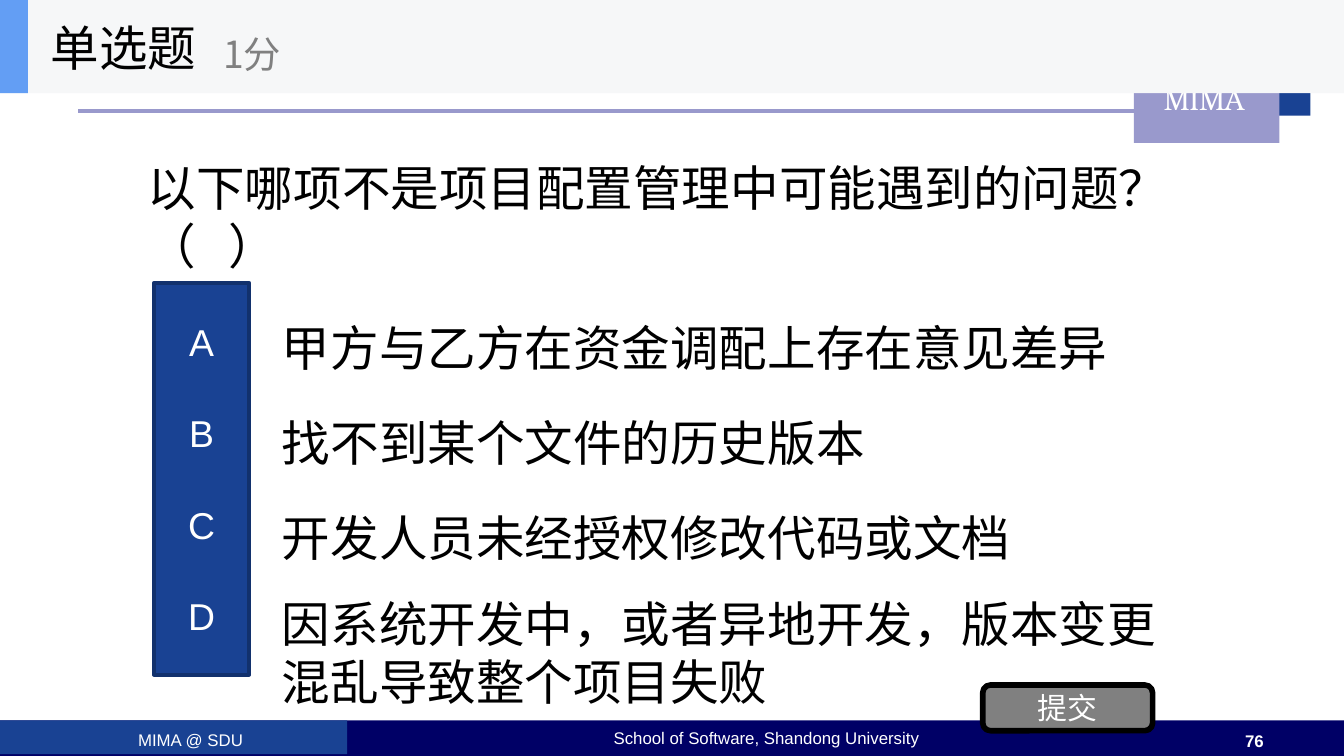
"""Build a single-choice quiz slide on project configuration management."""
from lxml import etree
from pptx import Presentation
from pptx.dml.color import RGBColor
from pptx.enum import shapes, text
from pptx.oxml import ns
from pptx.util import Pt

QUESTION = "以下哪项不是项目配置管理中可能遇到的问题？（   ）"
OPTIONS = [
    ("A", "甲方与乙方在资金调配上存在意见差异", 164),
    ("B", "找不到某个文件的历史版本", 215),
    ("C", "开发人员未经授权修改代码或文档", 266),
    ("D", "因系统开发中，或者异地开发，版本变更混乱导致整个项目失败", 327.5),
]
THEME = {
    "cjk": "Noto Sans CJK SC", "latin": "Arial", "serif": "TeX Gyre Bonum",
    "black": "000000", "white": "FFFFFF", "grey": "808080",
    "navy": "000066", "blue": "194293", "blue_edge": "12316D",
    "lilac": "9999CC", "header": "F6F7F8", "accent": "639EF4",
    "main": 26, "letter": 20, "button": 16, "badge": 15, "footer": 9,
}
MASTER_BLOCKS = [
    ((0, 386, 720, 19), "navy"),
    ((636, 14, 66, 48), "blue"),
    ((607.5, 22.5, 78, 54), "lilac"),
    ((0, 386, 186, 18), "blue"),
]
MASTER_LABELS = [
    ("MIMA", (600, 40.5, 90, 25), "badge", "serif", False),
    ("MIMA @ SDU", (18, 387.5, 168, 10), "footer", "latin", False),
    ("School of Software, Shandong University", (206.5, 386.5, 408, 15), "footer", "latin", False),
    ("76", (655, 388, 34, 11), "footer", "latin", True),
]
HEADER_BLOCKS = [((0, 0, 720, 50), "header"), ((0, 0, 15, 50), "accent")]
HEADER_LABELS = [
    ("单选题", (20, 0, 150, 50), "main", "black"),
    ("1分", (112.5, 8.5, 180, 40), "letter", "grey"),
]
MIDDLE = text.MSO_ANCHOR.MIDDLE
CENTER = text.PP_ALIGN.CENTER
LEFT = text.PP_ALIGN.LEFT


def color(key):
    return RGBColor.from_string(THEME[key])


def points(box):
    return [Pt(length) for length in box]


def write(frame, lines, size, ink, face="cjk", align=LEFT, anchor=MIDDLE,
          wrap=True, bold=False, gap=0, leading=None):
    frame.auto_size = text.MSO_AUTO_SIZE.NONE
    frame.word_wrap = wrap
    frame.vertical_anchor = anchor
    for index, line in enumerate(lines):
        paragraph = frame.paragraphs[0] if index == 0 else frame.add_paragraph()
        paragraph.alignment = align
        if index and gap:
            paragraph.space_before = Pt(gap)
        if leading:
            paragraph.line_spacing = Pt(leading)
        run = paragraph.add_run()
        run.text = line
        run.font.size = Pt(THEME[size])
        run.font.name = THEME[face]
        run.font.bold = bold
        run.font.color.rgb = color(ink)
        east_asian = etree.SubElement(run.font._element, ns.qn("a:ea"))
        east_asian.set("typeface", THEME[face])


def write_main(frame, line):
    frame.margin_top = Pt(9.6)
    write(frame, [line], "main", "black", leading=31)


def add_block(slide, box, fill, edge=None, weight=0, kind=shapes.MSO_SHAPE.RECTANGLE):
    block = slide.shapes.add_shape(kind, *points(box))
    block.shadow.inherit = False
    block.fill.solid()
    block.fill.fore_color.rgb = color(fill)
    if edge:
        block.line.color.rgb = color(edge)
        block.line.width = Pt(weight)
    else:
        block.line.fill.background()
    return block


def add_label(slide, box):
    return slide.shapes.add_textbox(*points(box)).text_frame


def add_rule(slide):
    rule = slide.shapes.add_connector(
        shapes.MSO_CONNECTOR.STRAIGHT, *points((42, 59.5, 612, 59.5)))
    rule.line.color.rgb = color("lilac")
    rule.line.width = Pt(2.25)
    etree.SubElement(rule._element.spPr, ns.qn("a:effectLst"))


def main():
    deck = Presentation()
    deck.slide_width, deck.slide_height = Pt(720), Pt(405)
    slide = deck.slides.add_slide(deck.slide_layouts[5])

    add_rule(slide)
    for box, fill in MASTER_BLOCKS:
        add_block(slide, box, fill)
    for label, box, size, face, bold in MASTER_LABELS:
        write(add_label(slide, box), [label], size, "white", face, CENTER,
              text.MSO_ANCHOR.TOP, bold=bold)

    question = slide.shapes.title
    question.left, question.top, question.width, question.height = points((72, 49.5, 616, 127))
    write_main(question.text_frame, QUESTION)
    for letter, answer, top in OPTIONS:
        write_main(add_label(slide, (144, top, 504, 38)), answer)

    submit = add_block(slide, (526.5, 367, 91, 24.5), "grey", "black", 3,
                       shapes.MSO_SHAPE.ROUNDED_RECTANGLE)
    write(submit.text_frame, ["提交"], "button", "white", align=CENTER)
    letters = add_block(slide, (82.5, 151.5, 51, 210), "blue", "blue_edge", 2)
    write(letters.text_frame, [option[0] for option in OPTIONS], "letter", "white",
          "latin", CENTER, gap=25)

    for box, fill in HEADER_BLOCKS:
        add_block(slide, box, fill)
    for label, box, size, ink in HEADER_LABELS:
        write(add_label(slide, box), [label], size, ink, wrap=False)

    deck.save("out.pptx")


if __name__ == "__main__":
    main()
